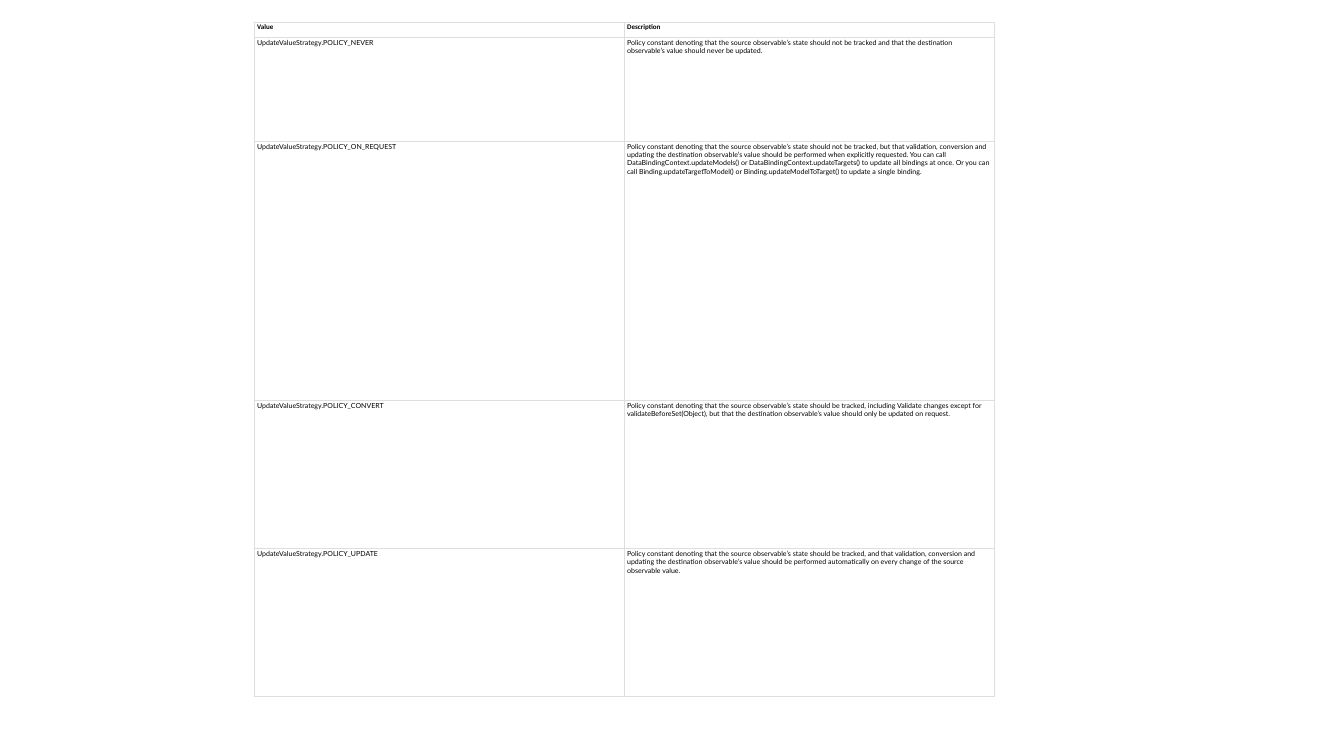
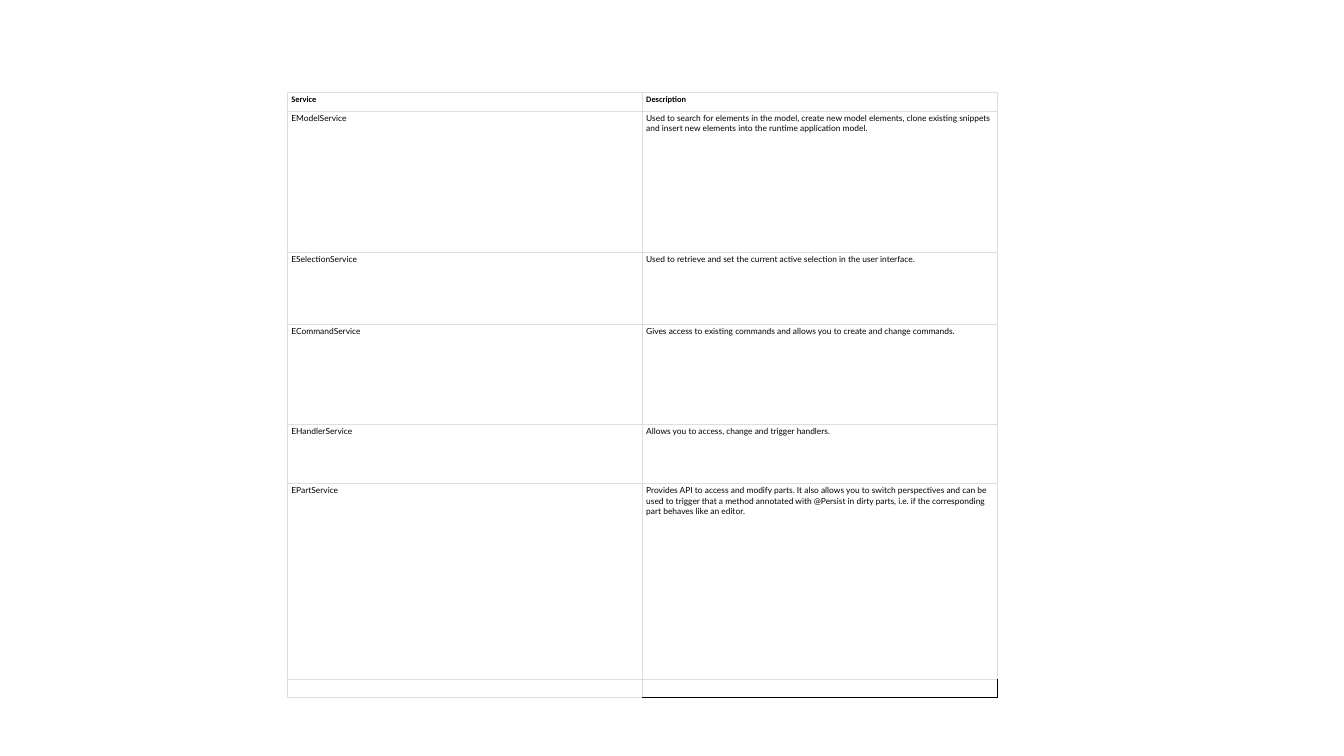
from dataclasses import dataclass

import pptx
import pptx.dml.color
import pptx.oxml
import pptx.oxml.ns
import pptx.presentation
import pptx.table
import pptx.util
from lxml import etree
from pptx.util import Inches


@dataclass(frozen=True)
class Theme:
    paper: str = "FFFFFF"
    ink: str = "000000"
    grid: str = "DEDEDE"
    grid_width: float = 0.6
    accent_width: float = 1
    header_font: str = "Calibri"
    body_font: str = "Lato"


@dataclass(frozen=True)
class ReferenceTable:
    left: float
    top: float
    column_width: float
    row_heights: tuple[float, ...]
    rows: tuple[tuple[str, str], ...]
    type_size: float
    margin_x: float
    margin_y: float
    open_corner: bool = False


THEME = Theme()

POLICIES = ReferenceTable(
    left=2.52, top=0.22, column_width=3.67,
    row_heights=(0.15, 1.03, 2.57, 1.47, 1.47),
    type_size=5, margin_x=0.03, margin_y=0.01,
    rows=(
        ("Value", "Description"),
        ("UpdateValueStrategy.POLICY_NEVER",
         "Policy constant denoting that the source observable’s state should not be tracked "
         "and that the destination observable’s value should never be updated."),
        ("UpdateValueStrategy.POLICY_ON_REQUEST",
         "Policy constant denoting that the source observable’s state should not be tracked, "
         "but that validation, conversion and updating the destination observable’s value "
         "should be performed when explicitly requested. You can "
         "call DataBindingContext.updateModels() or DataBindingContext.updateTargets() to "
         "update all bindings at once. Or you can call Binding.updateTargetToModel() "
         "or Binding.updateModelToTarget() to update a single binding."),
        ("UpdateValueStrategy.POLICY_CONVERT",
         "Policy constant denoting that the source observable’s state should be tracked, "
         "including Validate changes except for validateBeforeSet(Object), but that the "
         "destination observable’s value should only be updated on request."),
        ("UpdateValueStrategy.POLICY_UPDATE",
         "Policy constant denoting that the source observable’s state should be tracked, "
         "and that validation, conversion and updating the destination observable’s value "
         "should be performed automatically on every change of the source observable value."),
    ),
)

SERVICES = ReferenceTable(
    left=2.85, top=0.92, column_width=3.52,
    row_heights=(0.18, 1.4, 0.72, 0.99, 0.59, 1.94, 0.18),
    type_size=6, margin_x=0.04, margin_y=0.02, open_corner=True,
    rows=(
        ("Service", "Description"),
        ("EModelService",
         "Used to search for elements in the model, create new model elements, clone "
         "existing snippets and insert new elements into the runtime application model."),
        ("ESelectionService",
         "Used to retrieve and set the current active selection in the user interface."),
        ("ECommandService",
         "Gives access to existing commands and allows you to create and change commands."),
        ("EHandlerService", "Allows you to access, change and trigger handlers."),
        ("EPartService",
         "Provides API to access and modify parts. It also allows you to switch perspectives "
         "and can be used to trigger that a method annotated with @Persist in dirty parts, "
         "i.e. if the corresponding part behaves like an editor."),
        ("", ""),
    ),
)


def set_borders(cell: pptx.table._Cell, accent_sides: str) -> None:
    """Rule all four sides, those named in accent_sides in ink."""
    properties = cell._tc.get_or_add_tcPr()
    for side in "LRTB":
        accent = side in accent_sides
        width = pptx.util.Pt(THEME.accent_width if accent else THEME.grid_width)
        line = etree.SubElement(properties, pptx.oxml.ns.qn(f"a:ln{side}"), w=str(int(width)))
        fill = etree.SubElement(line, pptx.oxml.ns.qn("a:solidFill"))
        etree.SubElement(fill, pptx.oxml.ns.qn("a:srgbClr"),
                         val=THEME.ink if accent else THEME.grid)


def write_cell(cell: pptx.table._Cell, text: str, content: ReferenceTable, header: bool) -> None:
    cell.margin_left = cell.margin_right = Inches(content.margin_x)
    cell.margin_top = cell.margin_bottom = Inches(content.margin_y)
    paragraph = cell.text_frame.paragraphs[0]
    if not text:
        # An empty cell takes its line height from the end mark.
        etree.SubElement(paragraph._p, pptx.oxml.ns.qn("a:endParaRPr"),
                         sz=str(round(content.type_size * 100)))
        return
    paragraph.text = text
    font = paragraph.font
    font.name = THEME.header_font if header else THEME.body_font
    font.size = pptx.util.Pt(content.type_size)
    font.bold = header
    font.color.rgb = pptx.dml.color.RGBColor.from_string(THEME.ink)


def add_table_page(deck: pptx.presentation.Presentation, content: ReferenceTable) -> None:
    page = deck.slides.add_slide(deck.slide_layouts.get_by_name("Blank"))
    columns = len(content.rows[0])
    table = page.shapes.add_table(
        len(content.rows), columns, Inches(content.left), Inches(content.top),
        Inches(content.column_width * columns), Inches(sum(content.row_heights)),
    ).table
    table.first_row = table.horz_banding = False
    for column in table.columns:
        column.width = Inches(content.column_width)
    for row, height in zip(table.rows, content.row_heights):
        row.height = Inches(height)

    last = (len(content.rows) - 1, columns - 1)
    for row_index, texts in enumerate(content.rows):
        for column_index, text in enumerate(texts):
            cell = table.cell(row_index, column_index)
            write_cell(cell, text, content, header=row_index == 0)
            is_open = content.open_corner and (row_index, column_index) == last
            set_borders(cell, accent_sides="RB" if is_open else "")
            if is_open:
                cell.fill.background()
            else:
                cell.fill.solid()
                cell.fill.fore_color.rgb = pptx.dml.color.RGBColor.from_string(THEME.paper)


def main() -> None:
    deck = pptx.Presentation()
    deck.slide_width, deck.slide_height = Inches(13.33), Inches(7.5)
    for content in (POLICIES, SERVICES):
        add_table_page(deck, content)
    deck.save("out.pptx")


if __name__ == "__main__":
    main()
